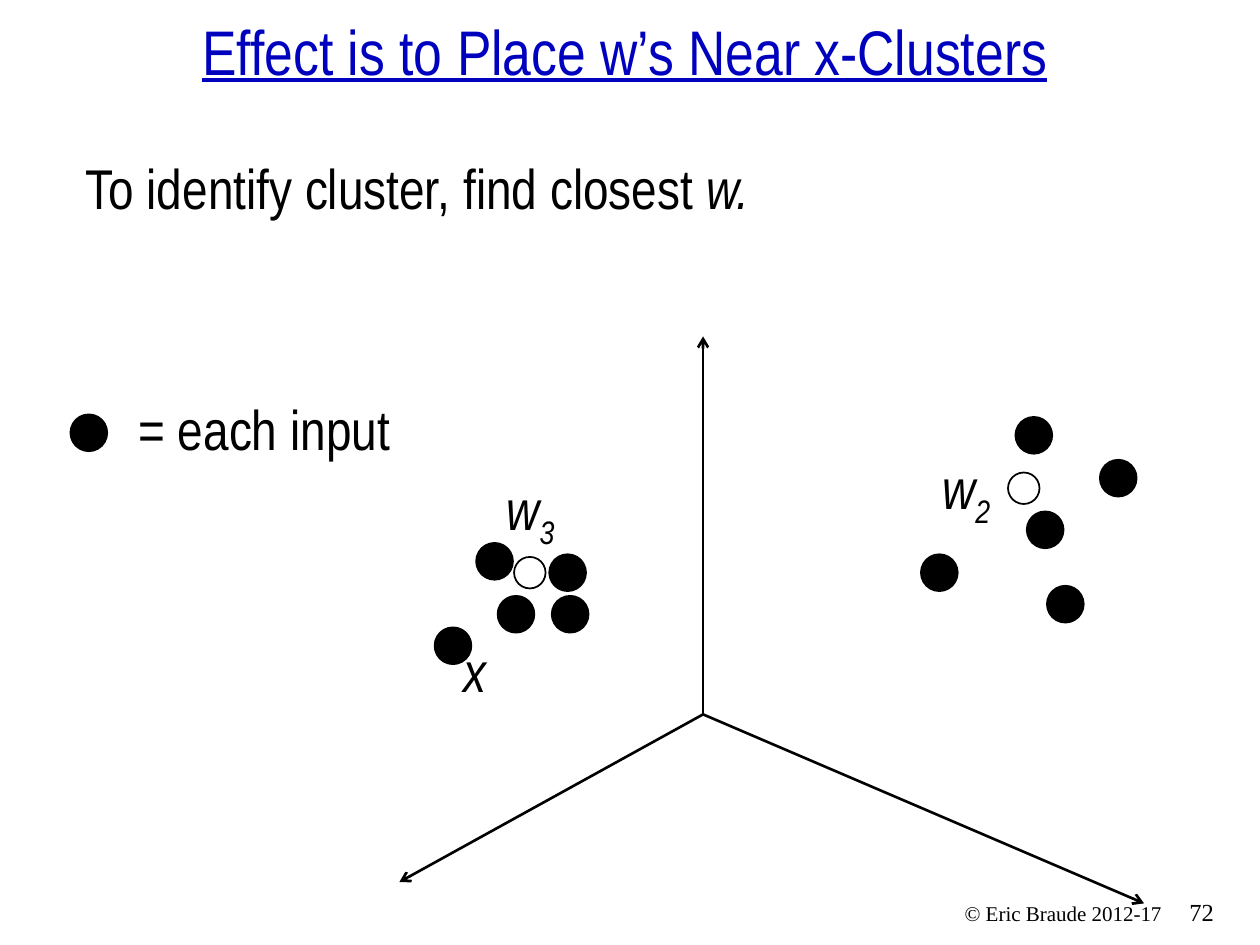
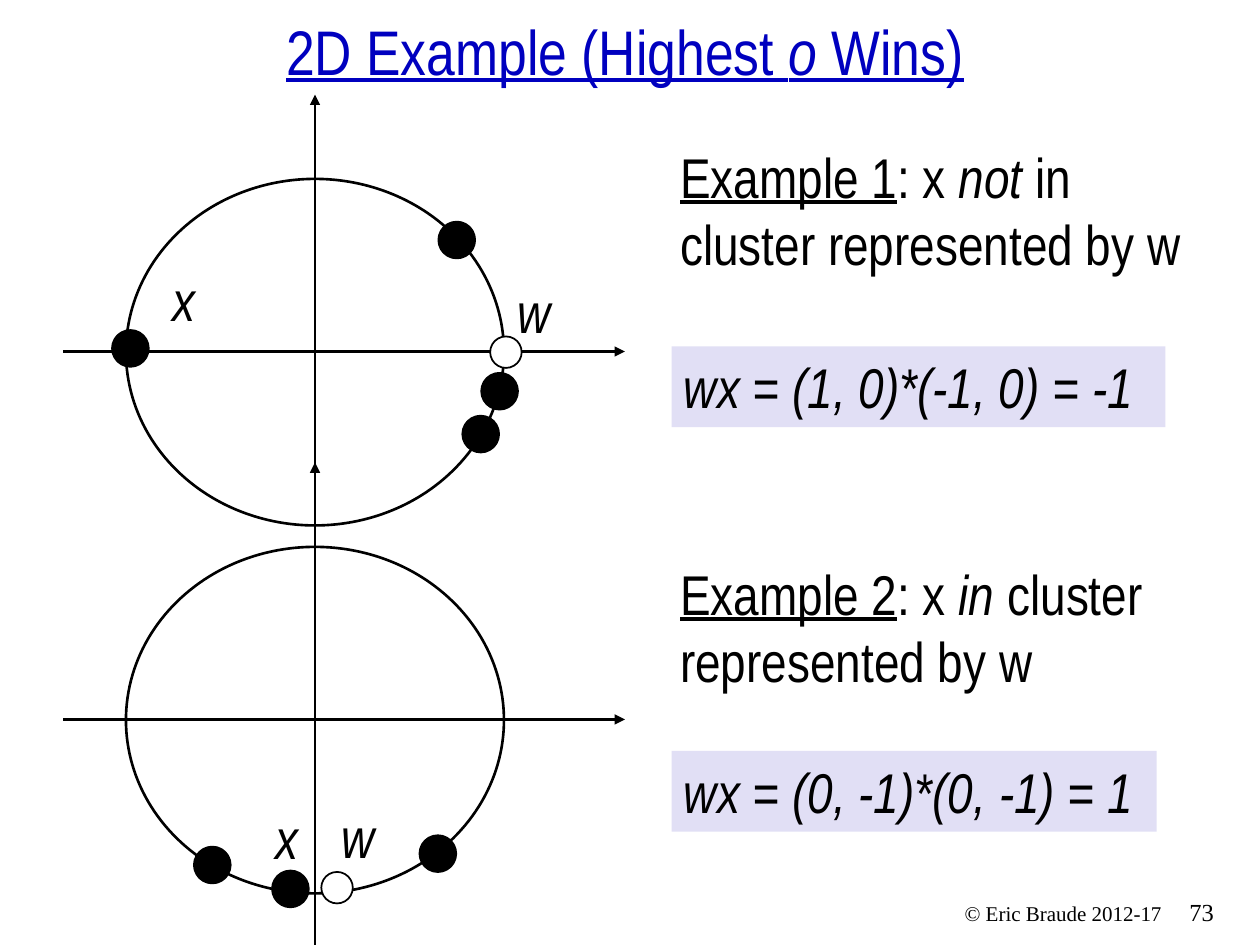
"""Two slides on finding clusters with weight vectors."""
from dataclasses import dataclass

from pptx import Presentation
from pptx.dml.color import RGBColor
from pptx.enum.shapes import MSO_CONNECTOR, MSO_SHAPE
from pptx.enum.text import MSO_ANCHOR, MSO_AUTO_SIZE, PP_ALIGN
from pptx.oxml.ns import qn
from pptx.util import Inches, Pt
from lxml import etree

STRAIGHT = MSO_CONNECTOR.STRAIGHT
OVAL, RECT = MSO_SHAPE.OVAL, MSO_SHAPE.RECTANGLE
LEFT, CENTER, RIGHT = PP_ALIGN.LEFT, PP_ALIGN.CENTER, PP_ALIGN.RIGHT
TOP, BOTTOM = MSO_ANCHOR.TOP, MSO_ANCHOR.BOTTOM
GROW, FIXED = MSO_AUTO_SIZE.SHAPE_TO_FIT_TEXT, MSO_AUTO_SIZE.NONE


@dataclass(frozen=True)
class Theme:
    """Colours, fonts and sizes shared by the slides."""
    ink: RGBColor = RGBColor(0, 0, 0)
    paper: RGBColor = RGBColor(255, 255, 255)
    title: RGBColor = RGBColor(0, 0, 0xBF)
    panel: RGBColor = RGBColor(0xE1, 0xDF, 0xF5)
    font: str = "Arial Narrow"
    footer_font: str = "Times New Roman"
    title_size: int = 36
    body_size: int = 32
    number_size: int = 14
    footer_size: int = 12
    line: float = 1.5
    dot: float = 0.25


ITALIC = {"italic": True}
UNDERLINE = {"underline": True}


class Deck:
    """Hold the theme and the current slide, and draw each kind of element."""

    def __init__(self, theme):
        """Start an empty presentation."""
        self.theme = theme
        self.prs = Presentation()
        self.prs.slide_width, self.prs.slide_height = Inches(10), Inches(7.5)

    def slide(self, number, *title):
        """Add a slide with its title and footer."""
        t = self.theme
        self.s = self.prs.slides.add_slide(self.prs.slide_layouts[6])
        self.text((9.34, 7.07, 0.58, 0.33), str(number),
                  name=t.footer_font, size=Pt(t.number_size))
        self.text((6.65, 7.1, 2.67, 0.3), "© Eric Braude 2012-17", align=RIGHT,
                  name=t.footer_font, size=Pt(t.footer_size))
        self.text((0, 0.21, 9.92, 0.54), *title, align=CENTER, anchor=BOTTOM, fit=FIXED,
                  size=Pt(t.title_size), color=t.title, underline=True)

    def set_text(self, shape, runs, align=LEFT, anchor=TOP, wrap=True, fit=GROW,
                 color=None, **font):
        """Fill a shape with runs, each a string or a (string, format) pair."""
        t = self.theme
        tf = shape.text_frame
        frame = {"word_wrap": wrap, "vertical_anchor": anchor, "auto_size": fit}
        for key, value in frame.items():
            setattr(tf, key, value)
        p = tf.paragraphs[0]
        p.alignment = align
        for run in runs:
            words, extra = (run, {}) if isinstance(run, str) else run
            r = p.add_run()
            r.text = words
            r.font.color.rgb = color or t.ink
            style = {"name": t.font, "size": Pt(t.body_size), **font, **extra}
            for key, value in style.items():
                setattr(r.font, key, value)
        return p

    def text(self, box, *runs, **options):
        """Add a text box."""
        sp = self.s.shapes.add_textbox(*map(Inches, box))
        return self.set_text(sp, runs, **options)

    def label(self, x, y, letter, index="", width=0.47):
        """Add an italic vector name with an optional subscript."""
        runs = [letter, index] if index else [letter]
        p = self.text((x, y, width, 0.64), *runs, wrap=False, italic=True)
        for r in p.runs[1:]:
            r.font._element.set("baseline", "-25000")

    def shape(self, kind, box, fill=None, line=None):
        """Add a preset shape with an optional fill and outline width."""
        sp = self.s.shapes.add_shape(kind, *map(Inches, box))
        sp.shadow.inherit = False
        if fill is None:
            sp.fill.background()
        else:
            sp.fill.solid()
            sp.fill.fore_color.rgb = fill
        if line is None:
            sp.line.fill.background()
        else:
            sp.line.color.rgb = self.theme.ink
            sp.line.width = Pt(line)
        return sp

    def panel(self, box, formula):
        """Add a tinted panel with a formula."""
        self.set_text(self.shape(RECT, box, self.theme.panel), [formula], italic=True)

    def inputs(self, *points):
        """Add a black dot at each point."""
        t = self.theme
        for x, y in points:
            self.shape(OVAL, (x, y, t.dot, t.dot), t.ink, 4)

    def weight(self, x, y):
        """Add a white dot."""
        t = self.theme
        self.shape(OVAL, (x, y, t.dot, t.dot), t.paper, 1)

    def axis(self, start, end, head):
        """Add a line with an arrowhead at its end."""
        c = self.s.shapes.add_connector(STRAIGHT, *map(Inches, (*start, *end)))
        c.line.color.rgb = self.theme.ink
        c.line.width = Pt(self.theme.line)
        properties = c._element.spPr
        etree.SubElement(properties.get_or_add_ln(), qn("a:tailEnd"), type=head)
        etree.SubElement(properties, qn("a:effectLst"))

    def unit_circle(self, top):
        """Add a circle on a pair of axes whose vertical tip is at top."""
        self.shape(OVAL, (1, top + 0.67, 3, 2.75), line=self.theme.line)
        self.axis((0.5, top + 2.04), (4.96, top + 2.04), "triangle")
        self.axis((2.5, top + 3.83), (2.5, top), "triangle")


def cluster_slide(deck):
    """Draw two clusters in three dimensions."""
    deck.slide(72, "Effect is to Place w’s Near x-Clusters")
    for tip in ((5.58, 2.67), (3.17, 7), (9.08, 7.17)):
        deck.axis((5.58, 5.67), tip, "arrow")
    deck.inputs((3.8, 4.33), (3.97, 4.75), (4.38, 4.42), (3.47, 5), (4.4, 4.75))
    deck.inputs((8.08, 3.33), (8.17, 4.08), (8.75, 3.67), (7.33, 4.42), (8.33, 4.67))
    deck.weight(4.08, 4.42)
    deck.label(3.92, 3.72, "w", "3", 0.61)
    deck.weight(8, 3.75)
    deck.label(7.38, 3.55, "w", "2", 0.61)
    deck.label(3.58, 5, "x", width=0.39)
    deck.text((0.58, 1.17, 8.75, 0.64),
              "To identify cluster, find closest ", ("w.", ITALIC))
    deck.inputs((0.58, 3.31))
    deck.text((1, 3.08, 2.47, 0.64), "= each input")


def example_slide(deck):
    """Draw the two examples on the unit circle."""
    deck.slide(73, "2D Example (Highest ", ("o", ITALIC), " Wins)")
    examples = (
        {"top": 0.75, "weight": (3.89, 2.67), "w": (4.01, 2.15), "x": (1.27, 2.06),
         "inputs": ((0.91, 2.64), (3.69, 3.32), (3.5, 1.78), (3.84, 2.98)),
         "panel": (5.33, 2.75, 3.92, 0.64), "formula": "wx = (1, 0)*(-1, 0) = -1",
         "text_top": 1.08, "relation": "not", "ending": " in cluster represented by w"},
        {"top": 3.67, "weight": (2.55, 6.92), "w": (2.61, 6.32), "x": (2.09, 6.33),
         "inputs": ((2.18, 6.93), (3.35, 6.65), (1.56, 6.74)),
         "panel": (5.33, 5.96, 3.85, 0.64), "formula": "wx = (0, -1)*(0, -1) = 1",
         "text_top": 4.39, "relation": "in", "ending": " cluster represented by w"},
    )
    for number, example in enumerate(examples, 1):
        deck.unit_circle(example["top"])
        deck.inputs(*example["inputs"])
        deck.weight(*example["weight"])
        deck.label(*example["w"], "w")
        deck.label(*example["x"], "x", width=0.39)
        deck.panel(example["panel"], example["formula"])
        deck.text((5.3, example["text_top"], 4.25, 1.18),
                  (f"Example {number}", UNDERLINE), ": x ",
                  (example["relation"], ITALIC), example["ending"])


def main():
    """Build and save the slides."""
    deck = Deck(Theme())
    cluster_slide(deck)
    example_slide(deck)
    deck.prs.save("out.pptx")


if __name__ == "__main__":
    main()
